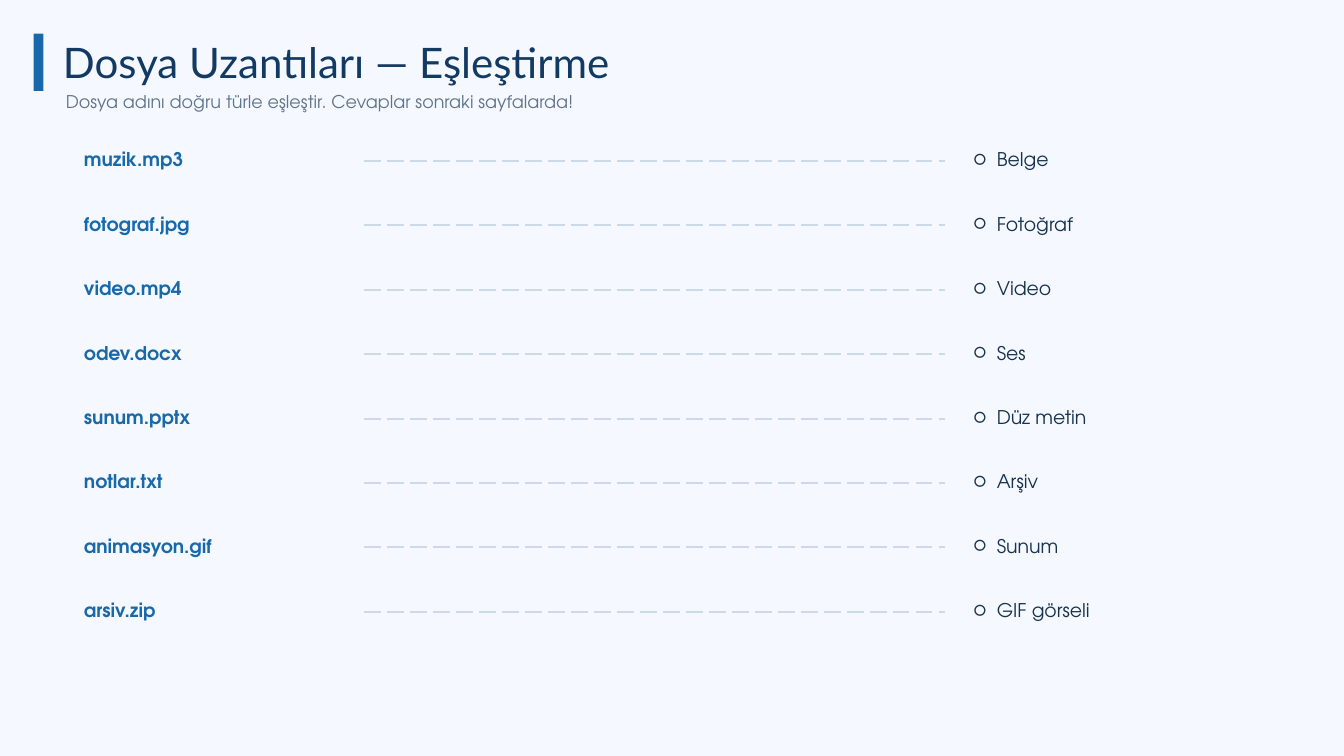
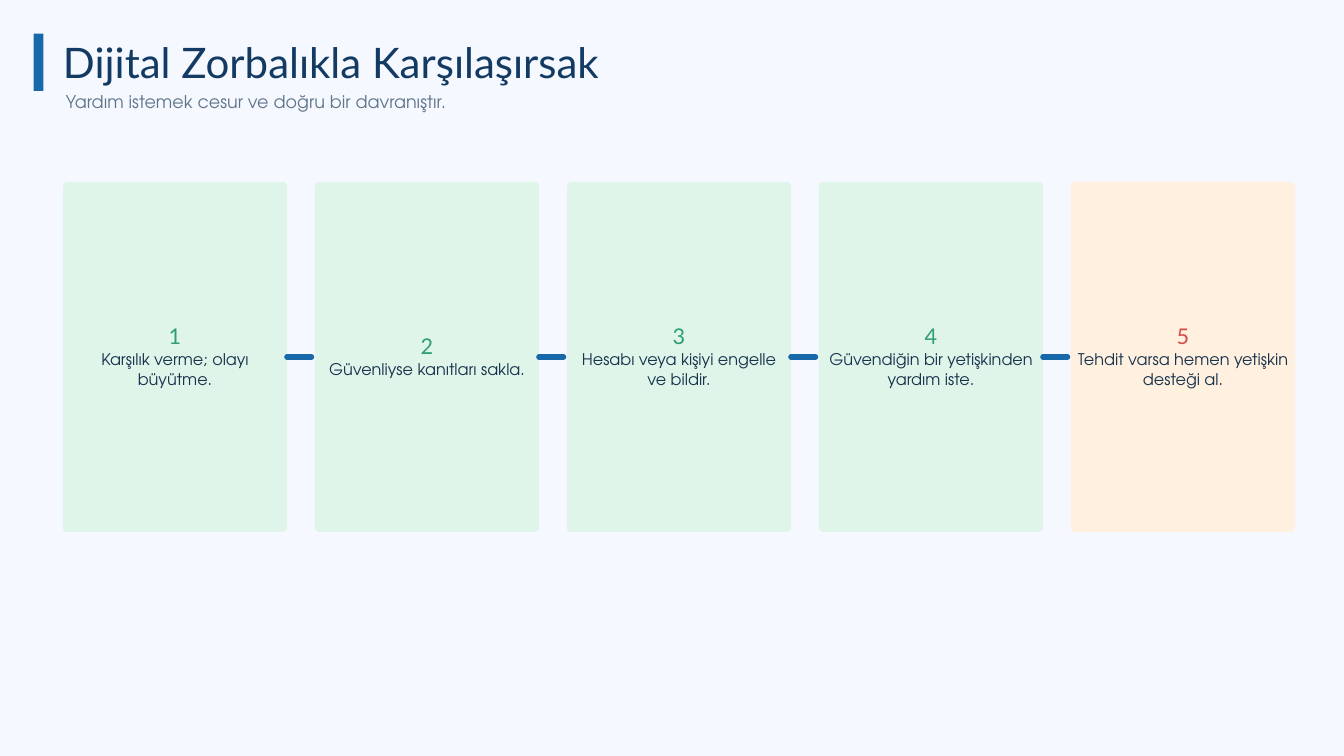
from dataclasses import dataclass

from lxml import etree
from pptx import Presentation
from pptx import util as u
from pptx.dml.color import RGBColor
from pptx.enum import dml, shapes, text
from pptx.oxml import ns

PX = 9525  # EMU in one px, 96 px to the inch
WIDE, HIGH = 1920, 1080

HEX = {
    "page": "F5F8FF", "blue": "1769AA", "navy": "123A63", "ink": "17324D",
    "gray": "60758A", "dash": "CBD9E8", "mint": "DFF5E9", "green": "2F9E6F",
    "peach": "FFF0DF", "red": "D94B4B",
}
HEAD, BODY = "Lato", "TeX Gyre Adventor"
LEFT, MID = text.PP_ALIGN.LEFT, text.PP_ALIGN.CENTER


@dataclass(frozen=True)
class Style:
    face: str
    size: float
    lead: float
    hue: str
    bold: bool = False
    align: text.PP_ALIGN = LEFT


@dataclass(frozen=True)
class Box:
    left: int
    top: int
    width: int
    height: int


@dataclass(frozen=True)
class Pair:
    file: str
    kind: str


@dataclass(frozen=True)
class Step:
    words: str
    fill: str = "mint"
    hue: str = "green"


TITLE = Style(HEAD, 45, 47.2, "navy")
LEDE = Style(BODY, 18.8, 26.2, "gray")
FILE = Style(BODY, 20.2, 28.4, "blue", bold=True)
KIND = Style(BODY, 20.2, 28.4, "ink")
NOTE = Style(BODY, 17.2, 21.6, "ink", align=MID)

PAIRS = [
    Pair("muzik.mp3", "Belge"),
    Pair("fotograf.jpg", "Fotoğraf"),
    Pair("video.mp4", "Video"),
    Pair("odev.docx", "Ses"),
    Pair("sunum.pptx", "Düz metin"),
    Pair("notlar.txt", "Arşiv"),
    Pair("animasyon.gif", "Sunum"),
    Pair("arsiv.zip", "GIF görseli"),
]
STEPS = [
    Step("Karşılık verme; olayı büyütme."),
    Step("Güvenliyse kanıtları sakla."),
    Step("Hesabı veya kişiyi engelle ve bildir."),
    Step("Güvendiğin bir yetişkinden yardım iste."),
    Step("Tehdit varsa hemen yetişkin desteği al.", "peach", "red"),
]


def rgb(name: str) -> RGBColor:
    return RGBColor.from_string(HEX[name])


def apply(obj, values: dict) -> None:
    for key, value in values.items():
        setattr(obj, key, value)


def place(box: Box) -> list[int]:
    return [n * PX for n in (box.left, box.top, box.width, box.height)]


# Text
def frame(shape, inset: int = 0, anchor=text.MSO_ANCHOR.TOP):
    tf = shape.text_frame
    sides = ("left", "top", "right", "bottom")
    apply(tf, {f"margin_{side}": inset * PX for side in sides})
    apply(tf, {"word_wrap": True, "vertical_anchor": anchor,
               "auto_size": text.MSO_AUTO_SIZE.NONE})
    return tf


def write(para, words: str, style: Style) -> None:
    apply(para, {"alignment": style.align, "line_spacing": u.Pt(style.lead),
                 "space_before": u.Pt(0)})
    run = para.add_run()
    run.text = words
    apply(run.font, {"name": style.face, "size": u.Pt(style.size),
                     "bold": style.bold})
    run.font.color.rgb = rgb(style.hue)


def bullet(para, mark: str, indent: int) -> None:
    props = para._p.get_or_add_pPr()
    props.set("marL", str(indent * PX))
    props.set("indent", str(-indent * PX))
    etree.SubElement(props, ns.qn("a:buFont")).set("typeface", BODY)
    etree.SubElement(props, ns.qn("a:buChar")).set("char", mark)


def label(slide, box: Box, words: str, style: Style, mark: str = "") -> None:
    para = frame(slide.shapes.add_textbox(*place(box))).paragraphs[0]
    if mark:
        bullet(para, mark, 34)
    write(para, words, style)


def fill(slide, box: Box, hue: str, kind=shapes.MSO_SHAPE.RECTANGLE):
    shape = slide.shapes.add_shape(kind, *place(box))
    shape.shadow.inherit = False
    shape.fill.solid()
    shape.fill.fore_color.rgb = rgb(hue)
    shape.line.fill.background()
    return shape


def link(slide, start: int, end: int, y: int, hue: str, width: float):
    line = slide.shapes.add_connector(
        shapes.MSO_CONNECTOR.STRAIGHT, start * PX, y * PX, end * PX, y * PX)
    line.line.color.rgb = rgb(hue)
    line.line.width = u.Pt(width)
    etree.SubElement(line._element.spPr, ns.qn("a:effectLst"))
    return line


# Title, subtitle and side bar on every slide
def start(deck, title: str, lede: str):
    slide = deck.slides.add_slide(deck.slide_layouts[0])
    parts = [
        (title, TITLE, Box(90, 61, 1740, 65)),
        (lede, LEDE, Box(94, 125, 1500, 35)),
    ]
    for holder, (words, style, box) in zip(slide.placeholders, parts):
        apply(holder, dict(zip(("left", "top", "width", "height"), place(box))))
        write(frame(holder).paragraphs[0], words, style)
    fill(slide, Box(48, 48, 14, 82), "blue")
    return slide


# File names on the left, kinds on the right
def match(deck) -> None:
    slide = start(deck, "Dosya Uzantıları — Eşleştirme",
                  "Dosya adını doğru türle eşleştir. Cevaplar sonraki sayfalarda!")
    for row, pair in enumerate(PAIRS):
        top = 206 + row * 92
        label(slide, Box(120, top, 370, 36), pair.file, FILE)
        label(slide, Box(1390, top, 390, 36), pair.kind, KIND, "○")
        line = link(slide, 520, 1350, top + 24, "dash", 2.25)
        line.line.dash_style = dml.MSO_LINE.LONG_DASH


# Five cards in a chain
def chain(deck) -> None:
    slide = start(deck, "Dijital Zorbalıkla Karşılaşırsak",
                  "Yardım istemek cesur ve doğru bir davranıştır.")
    for col, step in enumerate(STEPS):
        box = Box(90 + col * 360, 260, 320, 500)
        card = fill(slide, box, step.fill, shapes.MSO_SHAPE.ROUNDED_RECTANGLE)
        card.adjustments[0] = 6 / box.width
        tf = frame(card, 4, text.MSO_ANCHOR.MIDDLE)
        write(tf.paragraphs[0], str(col + 1),
              Style(HEAD, 23.2, 25.6, step.hue, align=MID))
        write(tf.add_paragraph(), step.words, NOTE)
        if col < len(STEPS) - 1:
            edge = box.left + box.width
            line = link(slide, edge, edge + 35, box.top + box.height // 2,
                        "blue", 6)
            line.line._ln.set("cap", "rnd")
            line.begin_connect(card, 3)


def main() -> None:
    deck = Presentation()
    apply(deck, {"slide_width": WIDE * PX, "slide_height": HIGH * PX})
    back = deck.slide_master.background.fill
    back.solid()
    back.fore_color.rgb = rgb("page")
    match(deck)
    chain(deck)
    deck.save("out.pptx")


if __name__ == "__main__":
    main()
